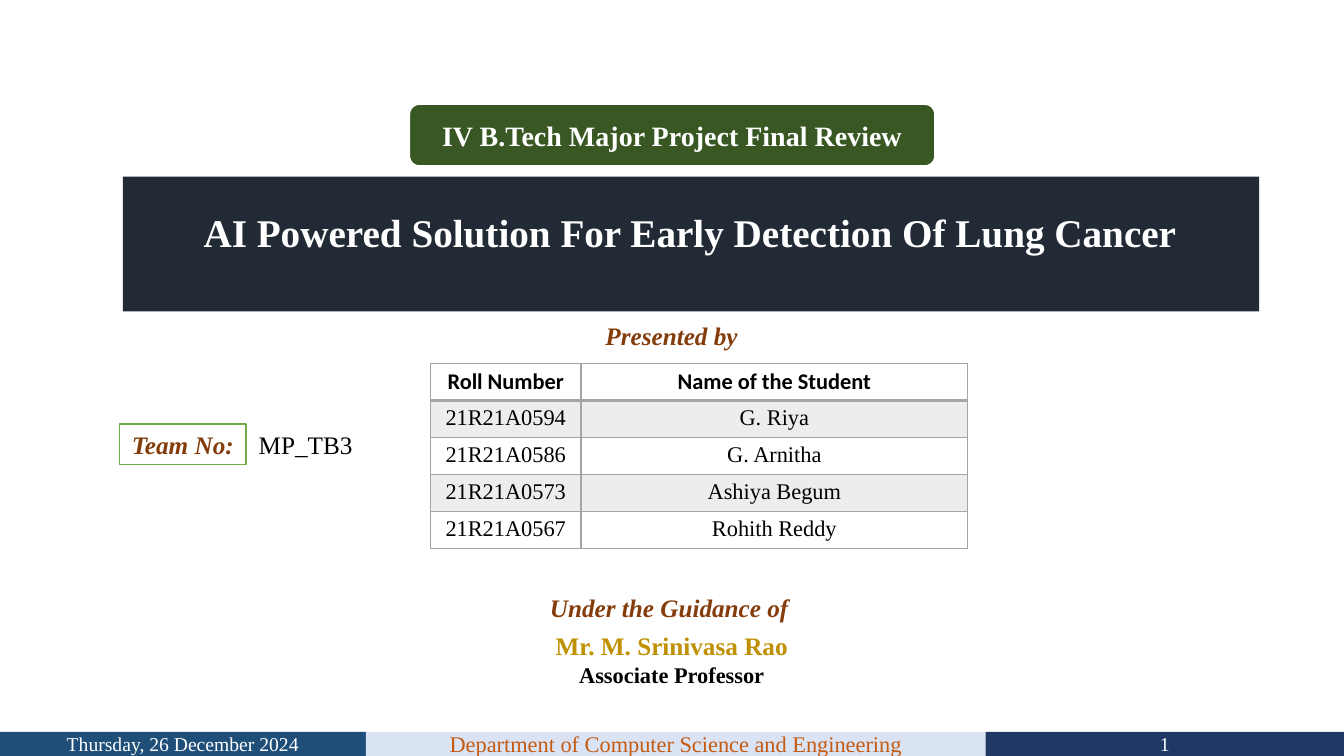
from lxml.etree import SubElement
from pptx import Presentation
from pptx.dml.color import RGBColor
from pptx.enum.shapes import MSO_SHAPE as SHAPE
from pptx.enum.text import MSO_ANCHOR as ANCHOR, MSO_AUTO_SIZE as AUTO, PP_ALIGN as ALIGN
from pptx.oxml.ns import qn
from pptx.util import Cm, Pt

WHITE, BLACK, BROWN, GREY = "FFFFFF", "000000", "843C0B", "A5A5A5"
LABEL_H = 1.02


def rgb(value):
    return RGBColor.from_string(value)


def write(p, text, size=18, color=BLACK, bold=False, italic=False,
          font="Times New Roman", align=ALIGN.CENTER):
    """Add one formatted run to a paragraph."""
    p.alignment = align
    r = p.add_run()
    r.text = text
    r.font.name, r.font.size = font, Pt(size)
    r.font.bold, r.font.italic = bold, italic
    r.font.color.rgb = rgb(color)


def border(cell, side, width):
    """Draw one side of a table cell."""
    ln = SubElement(cell._tc.get_or_add_tcPr(), qn(f"a:ln{side}"), w=str(Pt(width)))
    fill = SubElement(ln, qn("a:solidFill"))
    SubElement(fill, qn("a:srgbClr"), val=GREY)


class ReviewSlide:
    label = dict(color=BROWN, bold=True, italic=True)

    def __init__(self, prs):
        self.s = prs.slides.add_slide(prs.slide_layouts[5])

    def box(self, x, y, w, h, fill, text="", line=None, kind=SHAPE.RECTANGLE, **fmt):
        sp = self.s.shapes.add_shape(kind, Cm(x), Cm(y), Cm(w), Cm(h))
        sp.shadow.inherit = False
        sp.fill.solid()
        sp.fill.fore_color.rgb = rgb(fill)
        if line:
            color, width = line
            sp.line.color.rgb, sp.line.width = rgb(color), Pt(width)
        else:
            sp.line.fill.background()
        tf = sp.text_frame
        tf.word_wrap, tf.vertical_anchor = True, ANCHOR.MIDDLE
        if text:
            write(tf.paragraphs[0], text, **fmt)

    def text(self, x, y, w, h, *lines):
        tf = self.s.shapes.add_textbox(Cm(x), Cm(y), Cm(w), Cm(h)).text_frame
        tf.word_wrap = True
        for i, (text, fmt) in enumerate(lines):
            p = tf.add_paragraph() if i else tf.paragraphs[0]
            write(p, text, **fmt)

    def title(self, x, y, w, h, text, **fmt):
        sp = self.s.shapes.title
        sp.left, sp.top, sp.width, sp.height = Cm(x), Cm(y), Cm(w), Cm(h)
        tf = sp.text_frame
        tf.word_wrap, tf.auto_size, tf.vertical_anchor = True, AUTO.NONE, ANCHOR.TOP
        write(tf.paragraphs[0], text, **fmt)
        # Bring the title in front of its band
        sp.element.getparent().append(sp.element)

    def table(self, x, y, widths, row_h, rows):
        frame = self.s.shapes.add_table(len(rows), len(widths), Cm(x), Cm(y),
                                        Cm(sum(widths)), Cm(row_h * len(rows)))
        table = frame.table
        table.horz_banding = False
        for col, width in zip(table.columns, widths):
            col.width = Cm(width)
        for i, row in enumerate(rows):
            head = i == 0
            for j, text in enumerate(row):
                cell = table.cell(i, j)
                for side in "LRTB":
                    thick = (head and side == "B") or (i == 1 and side == "T")
                    border(cell, side, 2 if thick else 1)
                cell.fill.solid()
                cell.fill.fore_color.rgb = rgb("EDEDED" if i % 2 else WHITE)
                write(cell.text_frame.paragraphs[0], text, size=16, bold=head,
                      font="Calibri" if head else "Times New Roman")


def main():
    prs = Presentation()
    prs.slide_width, prs.slide_height = Cm(33.87), Cm(19.05)
    review = ReviewSlide(prs)

    # Title band and badge
    review.box(3.1, 4.45, 28.63, 3.4, "222A35")
    review.title(3.2, 5.11, 28.37, 1.45,
                 "AI Powered Solution For Early Detection Of Lung Cancer",
                 size=28, color=WHITE, bold=True)
    review.box(10.31, 2.62, 13.26, 1.57, "385723", "IV B.Tech Major Project Final Review",
               line=(WHITE, 1.5), kind=SHAPE.ROUNDED_RECTANGLE,
               size=20, color=WHITE, bold=True)

    # Footer strips, side by side
    x = 0
    for width, fill, text, size, color in (
            (9.22, "1F4E79", "Thursday, 26 December 2024", 14, WHITE),
            (15.62, "DAE3F3", "Department of Computer Science and Engineering", 16, "C55A11"),
            (9.03, "203864", "1", 14, WHITE)):
        review.box(x, 18.44, width, 0.61, fill, text, size=size, color=color)
        x += width

    # Team
    review.text(12.34, 7.95, 9.17, LABEL_H, ("Presented by", review.label))
    review.box(3.02, 10.69, 3.18, LABEL_H, WHITE, "Team No:", line=("70AD47", 1),
               **review.label)
    review.text(6.27, 10.69, 4.27, LABEL_H, ("MP_TB3", dict(align=ALIGN.LEFT)))
    review.table(10.85, 9.16, (3.79, 9.75), 0.93, (
        ("Roll Number", "Name of the Student"),
        ("21R21A0594", "G. Riya"),
        ("21R21A0586", "G. Arnitha"),
        ("21R21A0573", "Ashiya Begum"),
        ("21R21A0567", "Rohith Reddy")))

    # Guide
    review.text(12.78, 14.81, 8.33, LABEL_H, ("Under the Guidance of ", review.label))
    review.text(12.7, 15.77, 8.46, 1.7,
                ("Mr. M. Srinivasa Rao", dict(color="BF9000", bold=True)),
                ("Associate Professor", dict(size=16, bold=True)))

    prs.save("out.pptx")


if __name__ == "__main__":
    main()
